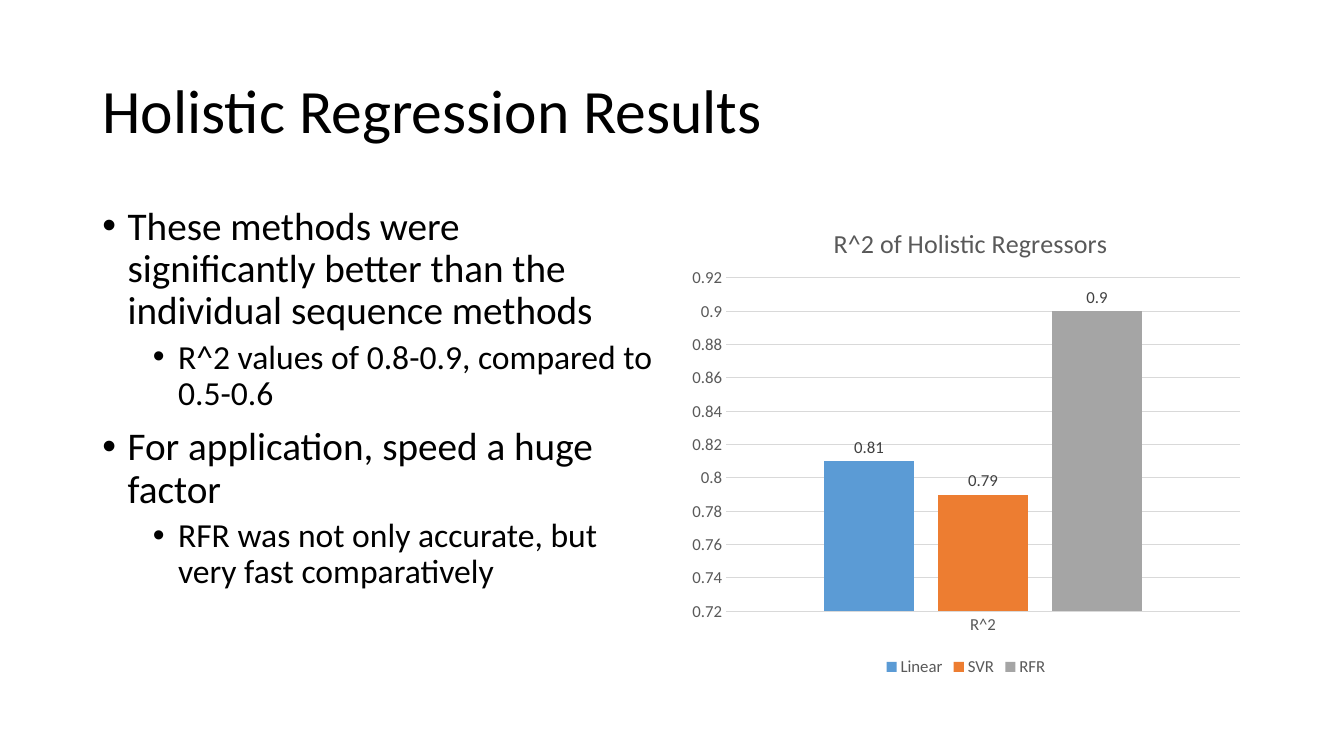
from lxml import etree
from pptx import Presentation
from pptx.chart.data import CategoryChartData
from pptx.dml.color import RGBColor
from pptx.enum.chart import XL_CHART_TYPE, XL_LABEL_POSITION, XL_LEGEND_POSITION, XL_TICK_MARK
from pptx.enum.text import MSO_ANCHOR, MSO_AUTO_SIZE, PP_ALIGN
from pptx.oxml import parse_xml
from pptx.oxml.ns import nsdecls, qn
from pptx.util import Pt

COLUMNS = XL_CHART_TYPE.COLUMN_CLUSTERED
OUTSIDE_END = XL_LABEL_POSITION.OUTSIDE_END
BOTTOM = XL_LEGEND_POSITION.BOTTOM
NO_TICK = XL_TICK_MARK.NONE
MIDDLE, TOP = MSO_ANCHOR.MIDDLE, MSO_ANCHOR.TOP
NO_AUTOFIT = MSO_AUTO_SIZE.NONE
LEFT = PP_ALIGN.LEFT

BLACK = RGBColor(0x00, 0x00, 0x00)
LABEL_GRAY = RGBColor(0x40, 0x40, 0x40)
TEXT_GRAY = RGBColor(0x59, 0x59, 0x59)
LINE_GRAY = RGBColor(0xD9, 0xD9, 0xD9)
BLUE = RGBColor(0x5B, 0x9B, 0xD5)
ORANGE = RGBColor(0xED, 0x7D, 0x31)
GRAY = RGBColor(0xA5, 0xA5, 0xA5)

FONT = "Calibri"
TITLE_BOX = (66, 28.75, 828, 104.4)
BODY_BOX = (66, 143.75, 408, 342.6)
CHART_BOX = (486, 143.75, 408, 342.6)

# Per list level: text size, space before, left indent
LEVELS = [(28, 10, 18), (24, 5, 54)]
BULLETS = [
    (0, "These methods were significantly better than the individual sequence methods"),
    (1, "R^2 values of 0.8-0.9, compared to 0.5-0.6"),
    (0, "For application, speed a huge factor "),
    (1, "RFR was not only accurate, but very fast comparatively"),
]
REGRESSORS = [("Linear", 0.81, BLUE), ("SVR", 0.79, ORANGE), ("RFR", 0.9, GRAY)]


def set_attributes(target, **values):
    for name, value in values.items():
        setattr(target, name, value)


def format_font(font, size, color):
    set_attributes(font, name=FONT, size=Pt(size), bold=False)
    font.color.rgb = color


def format_line(line):
    line.color.rgb = LINE_GRAY
    line.width = Pt(0.75)


def place_placeholder(shape, box, anchor):
    left, top, width, height = map(Pt, box)
    set_attributes(shape, left=left, top=top, width=width, height=height)
    set_attributes(shape.text_frame, word_wrap=True, auto_size=NO_AUTOFIT, vertical_anchor=anchor)


def write_paragraph(paragraph, text, size, space_before):
    set_attributes(paragraph, text=text, alignment=LEFT, line_spacing=0.9,
                   space_before=Pt(space_before), space_after=Pt(0))
    format_font(paragraph.runs[0].font, size, BLACK)


def add_bullet(paragraph, indent):
    properties = paragraph._p.get_or_add_pPr()
    properties.set("marL", str(Pt(indent)))
    properties.set("indent", str(Pt(-18)))
    etree.SubElement(properties, qn("a:buFont")).set("typeface", "Arial")
    etree.SubElement(properties, qn("a:buChar")).set("char", "•")


def fill_list(text_frame):
    for index, (level, text) in enumerate(BULLETS):
        paragraph = text_frame.add_paragraph() if index else text_frame.paragraphs[0]
        size, space_before, indent = LEVELS[level]
        paragraph.level = level
        write_paragraph(paragraph, text, size, space_before)
        add_bullet(paragraph, indent)


def set_layout(element, predecessor, **fractions):
    """Place a chart part at fractions of the chart's size."""
    for old_layout in element.findall(qn("c:layout")):
        element.remove(old_layout)
    settings = {"xMode": "edge", "yMode": "edge", **fractions}
    if "w" in fractions:
        settings = {"layoutTarget": "inner", **settings}
    children = "".join(f'<c:{name} val="{value}"/>' for name, value in settings.items())
    layout = parse_xml(f'<c:layout {nsdecls("c")}><c:manualLayout>{children}'
                       '</c:manualLayout></c:layout>')
    if predecessor is None:
        element.insert(0, layout)
    else:
        predecessor.addnext(layout)


def format_axes(chart):
    for axis in (chart.category_axis, chart.value_axis):
        set_attributes(axis, major_tick_mark=NO_TICK, minor_tick_mark=NO_TICK)
        format_font(axis.tick_labels.font, 12, TEXT_GRAY)
    format_line(chart.category_axis.format.line)
    value_axis = chart.value_axis
    set_attributes(value_axis, minimum_scale=0.72, maximum_scale=0.92, major_unit=0.02)
    value_axis.format.line.fill.background()
    format_line(value_axis.major_gridlines.format.line)


def format_series(plot):
    set_attributes(plot, gap_width=219, overlap=-27, vary_by_categories=False)
    for series, (_, _, color) in zip(plot.series, REGRESSORS):
        series.format.fill.solid()
        series.format.fill.fore_color.rgb = color
        labels = series.data_labels
        set_attributes(labels, show_value=True, position=OUTSIDE_END)
        format_font(labels.font, 12, LABEL_GRAY)


def add_regressor_chart(slide):
    data = CategoryChartData()
    data.categories = ["R^2"]
    for name, score, _ in REGRESSORS:
        data.add_series(name, [score])
    chart = slide.shapes.add_chart(COLUMNS, *map(Pt, CHART_BOX), data).chart
    format_font(chart.font, 10, BLACK)

    # Chart title and plot area
    title = chart.chart_title
    title.text_frame.text = "R^2 of Holistic Regressors"
    format_font(title.text_frame.paragraphs[0].runs[0].font, 18.6, TEXT_GRAY)
    title.include_in_layout = False
    set_layout(title._element, title._element.find(qn("c:tx")), x=0.26, y=0.04)
    plot_area = chart._chartSpace.chart.plotArea
    set_layout(plot_area, None, x=0.08, y=0.16, w=0.9, h=0.695)

    format_axes(chart)
    format_series(chart.plots[0])

    # Legend
    chart.has_legend = True
    set_attributes(chart.legend, position=BOTTOM, include_in_layout=False)
    format_font(chart.legend.font, 12, TEXT_GRAY)


def main():
    presentation = Presentation()
    set_attributes(presentation, slide_width=Pt(960), slide_height=Pt(540))
    slide = presentation.slides.add_slide(presentation.slide_layouts[1])

    # Title
    title = slide.shapes.title
    place_placeholder(title, TITLE_BOX, MIDDLE)
    write_paragraph(title.text_frame.paragraphs[0], "Holistic Regression Results", 44, 0)

    # List of findings
    body = slide.placeholders[1]
    place_placeholder(body, BODY_BOX, TOP)
    fill_list(body.text_frame)

    # Scores of the regressors
    add_regressor_chart(slide)
    presentation.save("out.pptx")


main()
